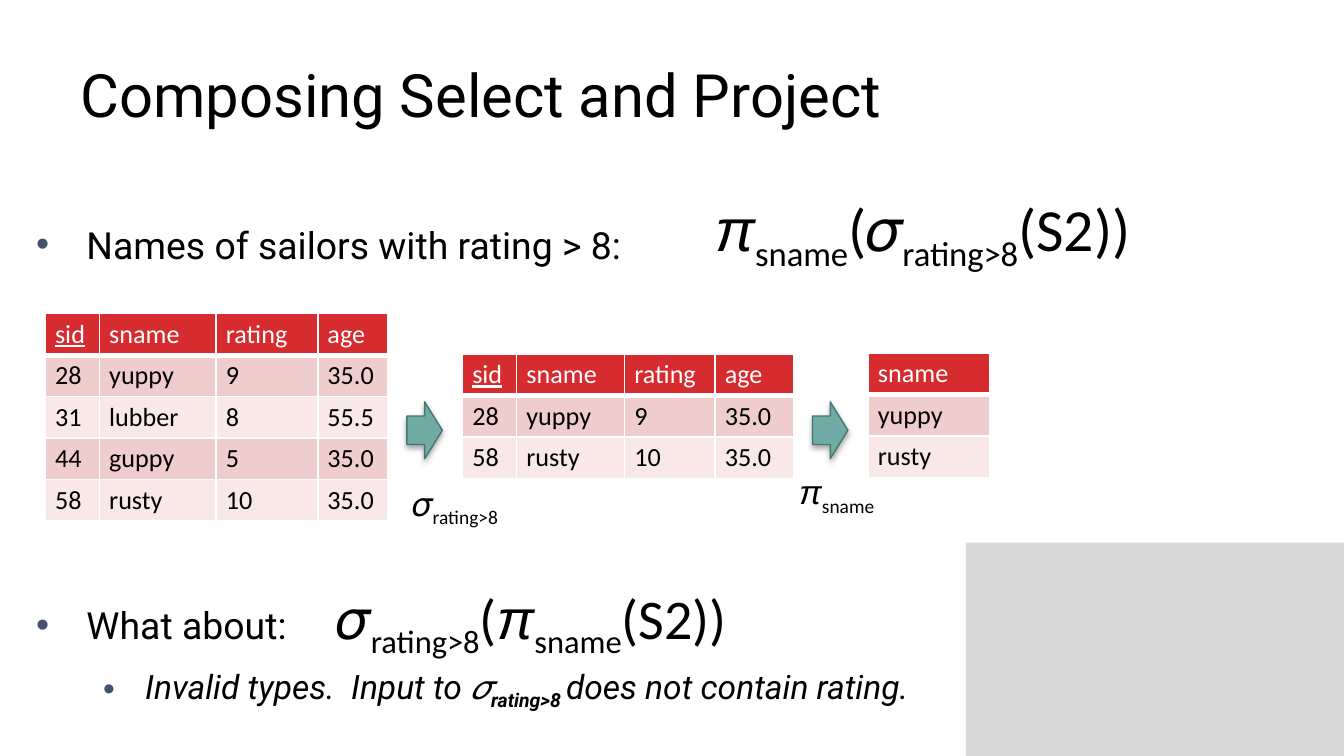
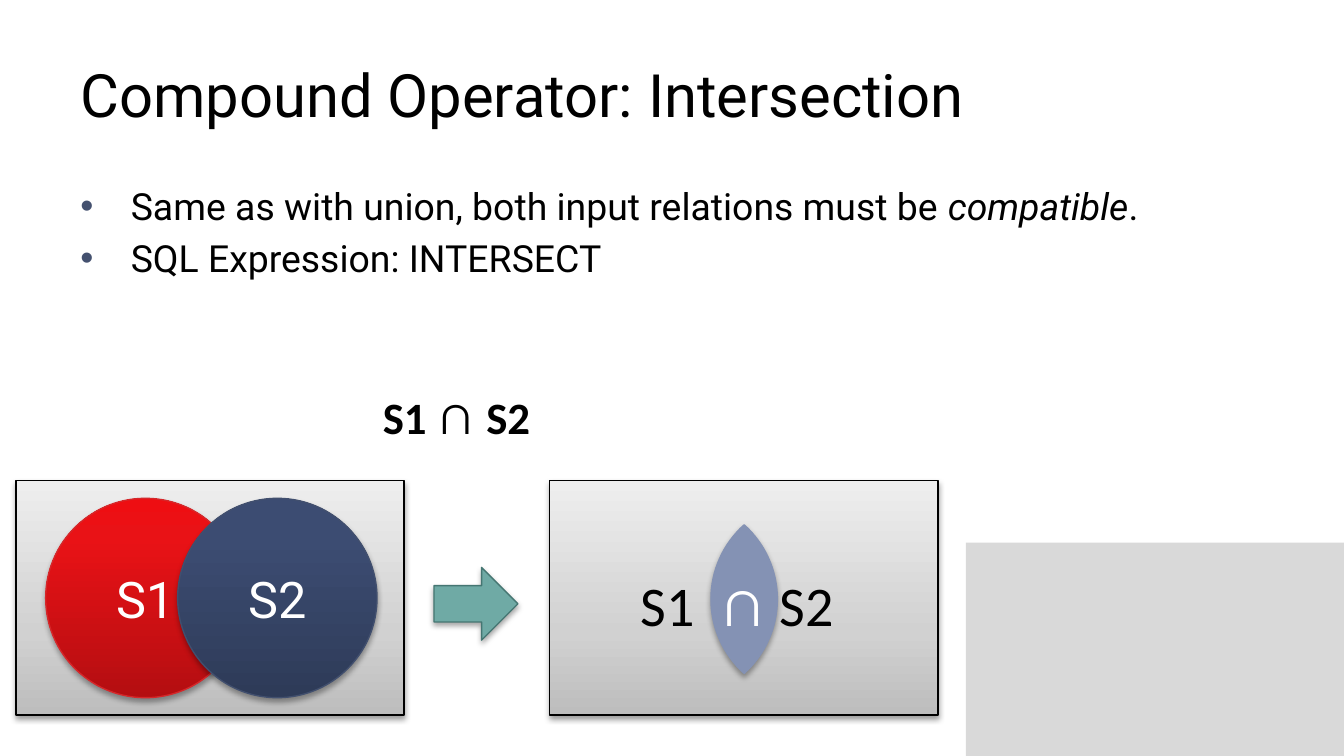
from copy import deepcopy
from dataclasses import dataclass
from math import asin, cos, sin, sqrt

from lxml.etree import SubElement
from pptx import Presentation
from pptx.dml.color import RGBColor
from pptx.enum.shapes import MSO_SHAPE
from pptx.enum.text import MSO_ANCHOR, MSO_AUTO_SIZE, PP_ALIGN
from pptx.oxml.ns import qn
from pptx.util import Pt

BLACK = RGBColor(0, 0, 0)
WHITE = RGBColor(255, 255, 255)
CORNER_GREY = RGBColor(0xD9, 0xD9, 0xD9)
BULLET = RGBColor(0x44, 0x51, 0x6F)
HEADER_RED = RGBColor(0xD7, 0x2C, 0x2F)
ROW_TINTS = (RGBColor(0xF0, 0xCD, 0xCD), RGBColor(0xF8, 0xE8, 0xE8))
TEAL = RGBColor(0x6F, 0xAA, 0xA5)
TEAL_EDGE = RGBColor(0x45, 0x76, 0x72)
LENS_BLUE = RGBColor(0x84, 0x92, 0xB4)
RED_EDGE = RGBColor(0xD6, 0x27, 0x2A)
NAVY_EDGE = RGBColor(0x41, 0x4F, 0x6E)
GREY_STOPS = ((0, RGBColor(0xBD, 0xBD, 0xBD)), (0.35, RGBColor(0xD1, 0xD1, 0xD1)),
              (1, RGBColor(0xEE, 0xEE, 0xEE)))
RED_STOPS = ((0, RGBColor(0xB4, 0x0E, 0x11)), (0.8, RGBColor(0xE9, 0x12, 0x16)),
             (1, RGBColor(0xEE, 0x0E, 0x12)))
NAVY_STOPS = ((0, RGBColor(0x2E, 0x3B, 0x58)), (0.8, RGBColor(0x3C, 0x4C, 0x72)),
              (1, RGBColor(0x3B, 0x4C, 0x73)))

ROBOTO, CALIBRI, ARIAL = "Roboto", "Calibri", "Arial"
ROW_H = 22.2


@dataclass(frozen=True)
class Run:
    text: str
    size: float
    font: str = CALIBRI
    color: RGBColor = BLACK
    bold: bool = False
    italic: bool = False
    underline: bool = False
    sub: bool = False
    spacing: float = 0


@dataclass(frozen=True)
class Bullet:
    runs: tuple
    before: float = 0
    level: int = 0


@dataclass(frozen=True)
class Relation:
    left: float
    top: float
    widths: tuple
    rows: tuple


@dataclass(frozen=True)
class Formula:
    left: float
    top: float
    width: float
    height: float
    runs: tuple
    align: PP_ALIGN = PP_ALIGN.LEFT


@dataclass(frozen=True)
class Circle:
    left: float
    label: str
    stops: tuple
    edge: RGBColor


def add_run(p, run: Run) -> None:
    r = p.add_run()
    r.text = run.text
    f = r.font
    f.name, f.size, f.bold, f.italic = run.font, Pt(run.size), run.bold, run.italic
    f.underline = run.underline
    f.color.rgb = run.color
    if run.sub:
        r._r.get_or_add_rPr().set("baseline", "-25000")
    if run.spacing:
        r._r.get_or_add_rPr().set("spc", str(round(run.spacing * 100)))


def add_title(slide, text: str) -> None:
    tf = slide.shapes.add_textbox(Pt(36), Pt(16.5), Pt(648), Pt(67.5)).text_frame
    tf.word_wrap = True
    tf.vertical_anchor = MSO_ANCHOR.MIDDLE
    add_run(tf.paragraphs[0], Run(text, 32, ROBOTO))


def new_slide(prs, title: str):
    slide = prs.slides.add_slide(prs.slide_layouts[6])
    sp = slide.shapes.add_shape(MSO_SHAPE.RECTANGLE, Pt(517.5), Pt(290.7), Pt(202.5), Pt(114.3))
    sp.shadow.inherit = False
    sp.fill.solid()
    sp.fill.fore_color.rgb = CORNER_GREY
    sp.line.fill.background()
    add_title(slide, title)
    return slide


def add_bullets(slide, left: float, top: float, bullets: tuple) -> None:
    tf = slide.shapes.add_textbox(Pt(left), Pt(top), Pt(648), Pt(267)).text_frame
    tf.word_wrap = True
    for i, bullet in enumerate(bullets):
        p = tf.add_paragraph() if i else tf.paragraphs[0]
        margin, hang = ((27, 27), (58.5, 22.5))[bullet.level]
        pPr = p._p.get_or_add_pPr()
        pPr.set("marL", str(Pt(margin)))
        pPr.set("indent", str(-Pt(hang)))
        color = SubElement(pPr, qn("a:buClr"))
        SubElement(color, qn("a:srgbClr"), val=str(BULLET))
        SubElement(pPr, qn("a:buFont"), typeface=ARIAL)
        SubElement(pPr, qn("a:buChar"), char="•")
        p.level = bullet.level
        p.space_before = Pt(bullet.before)
        for run in bullet.runs:
            add_run(p, run)


def add_formula(slide, formula: Formula) -> None:
    tf = slide.shapes.add_textbox(Pt(formula.left), Pt(formula.top),
                                  Pt(formula.width), Pt(formula.height)).text_frame
    tf.word_wrap = False
    tf.auto_size = MSO_AUTO_SIZE.SHAPE_TO_FIT_TEXT
    p = tf.paragraphs[0]
    p.alignment = formula.align
    for run in formula.runs:
        add_run(p, run)


def set_borders(cell, bottom: float) -> None:
    tcPr = cell._tc.get_or_add_tcPr()
    for i, (side, width) in enumerate((("L", 1), ("R", 1), ("T", 1), ("B", bottom))):
        ln = tcPr.makeelement(qn(f"a:ln{side}"), {"w": str(Pt(width))})
        SubElement(SubElement(ln, qn("a:solidFill")), qn("a:srgbClr"), val=str(WHITE))
        tcPr.insert(i, ln)


def add_relation(slide, relation: Relation) -> None:
    """Draw a table whose first row is the header; the key column sid is underlined."""
    rows, widths = relation.rows, relation.widths
    table = slide.shapes.add_table(len(rows), len(widths), Pt(relation.left), Pt(relation.top),
                                   Pt(sum(widths)), Pt(ROW_H * len(rows))).table
    for column, width in zip(table.columns, widths):
        column.width = Pt(width)
    for i, row in enumerate(rows):
        table.rows[i].height = Pt(ROW_H)
        for j, text in enumerate(row):
            cell = table.cell(i, j)
            cell.margin_left = cell.margin_right = Pt(5.2)
            cell.margin_top = cell.margin_bottom = Pt(2.6)
            cell.fill.solid()
            cell.fill.fore_color.rgb = ROW_TINTS[(i - 1) % 2] if i else HEADER_RED
            set_borders(cell, 1 if i else 3)
            add_run(cell.text_frame.paragraphs[0],
                    Run(text, 14, color=BLACK if i else WHITE, underline=text == "sid"))


def finish(sp, color: RGBColor | None, edge: RGBColor, stops: tuple = (),
           opacity: int = 35, distance: float = 1.8) -> None:
    """Give a shape its flat or upward gradient fill, thin edge and drop shadow."""
    if stops:
        sp.fill.gradient()
        sp.fill.gradient_angle = 90
        gs_list = sp._element.spPr.find(".//" + qn("a:gsLst"))
        gs_list.append(deepcopy(gs_list[0]))
        for stop, (position, stop_color) in zip(sp.fill.gradient_stops, stops):
            stop.position = position
            stop.color.rgb = stop_color
    else:
        sp.fill.solid()
        sp.fill.fore_color.rgb = color
    sp.line.color.rgb = edge
    sp.line.width = Pt(0.75)
    sp.shadow.inherit = False
    shadow = SubElement(sp._element.spPr.find(qn("a:effectLst")), qn("a:outerShdw"),
                        blurRad=str(Pt(3.1)), dist=str(Pt(distance)), dir="5400000",
                        rotWithShape="0")
    rgb = SubElement(shadow, qn("a:srgbClr"), val=str(BLACK))
    SubElement(rgb, qn("a:alpha"), val=str(opacity * 1000))


def add_arrow(slide, left: float, top: float, width: float, height: float) -> None:
    sp = slide.shapes.add_shape(MSO_SHAPE.RIGHT_ARROW, Pt(left), Pt(top), Pt(width), Pt(height))
    finish(sp, TEAL, TEAL_EDGE)


def add_panel(slide, left: float) -> None:
    sp = slide.shapes.add_shape(MSO_SHAPE.RECTANGLE, Pt(left), Pt(257.5), Pt(208), Pt(125.5))
    finish(sp, None, BLACK, GREY_STOPS, 38, 1.6)


def add_circle(slide, circle: Circle) -> None:
    sp = slide.shapes.add_shape(MSO_SHAPE.OVAL, Pt(circle.left), Pt(267), Pt(106.8), Pt(106.8))
    finish(sp, None, circle.edge, circle.stops)
    tf = sp.text_frame
    tf.margin_left = tf.margin_right = Pt(5.2)
    tf.margin_top = tf.margin_bottom = Pt(2.6)
    tf.vertical_anchor = MSO_ANCHOR.MIDDLE
    p = tf.paragraphs[0]
    p.alignment = PP_ALIGN.CENTER
    add_run(p, Run(circle.label, 27, ROBOTO, WHITE))


def add_lens(slide, x: float, y: float, radius: float, half_height: float, steps: int = 32) -> None:
    """Draw the overlap of two equal circles, centred on (x, y)."""
    offset = sqrt(radius ** 2 - half_height ** 2)
    reach = asin(half_height / radius)
    angles = [reach * (2 * i / steps - 1) for i in range(steps + 1)]
    points = [(Pt(x + side * (radius * cos(a) - offset)), Pt(y + side * radius * sin(a)))
              for side in (1, -1) for a in angles]
    builder = slide.shapes.build_freeform(*points[0])
    builder.add_line_segments(points[1:], close=True)
    finish(builder.convert_to_shape(), LENS_BLUE, LENS_BLUE)


def sigma(size: float) -> tuple:
    return Run("𝜎", size, ARIAL), Run("rating>8", size, sub=True)


def pi(size: float) -> tuple:
    return Run("π", size, ARIAL, italic=True), Run("sname", size, sub=True)


def composed(outer, inner, size: float) -> tuple:
    return (*outer(size), Run("(", size), *inner(size), Run("(S2)) ", size))


def build_composing(prs) -> None:
    slide = new_slide(prs, "Composing Select and Project")
    add_bullets(slide, 12.25, 115.2, (
        Bullet((Run("Names of sailors with rating > 8:", 20, ROBOTO),)),
        Bullet((Run("What about:", 20, ROBOTO),), 180),
        Bullet((Run("Invalid types.  Input to ", 18, ROBOTO, italic=True),
                Run("𝜎", 18, ARIAL, bold=True, italic=True),
                Run("rating>8 ", 18, ROBOTO, bold=True, italic=True, sub=True),
                Run("does not contain rating.", 18, ROBOTO, italic=True)), 10, 1),
    ))
    header = ("sid", "sname", "rating", "age")
    yuppy, rusty = ("28", "yuppy", "9", "35.0"), ("58", "rusty", "10", "35.0")
    sailors = (header, yuppy, ("31", "lubber", "8", "55.5"), ("44", "guppy", "5", "35.0"), rusty)
    selected = (header, yuppy, rusty)
    names = tuple((row[1],) for row in selected)
    for relation in (Relation(24.3, 168, (29, 62.5, 54.5, 37.5), sailors),
                     Relation(247.8, 189.7, (29, 57.8, 48.5, 42), selected),
                     Relation(465.1, 189.2, (65.2,), names)):
        add_relation(slide, relation)
    for left in (218, 435.3):
        add_arrow(slide, left, 215.3, 19, 30.5)
    for formula in (Formula(421.2, 249, 57, 29, pi(18)),
                    Formula(213.8, 255, 65.5, 29, sigma(18)),
                    Formula(166.3, 309, 244, 44, composed(sigma, pi, 30), PP_ALIGN.CENTER),
                    Formula(368, 99.4, 260, 46, composed(pi, sigma, 32), PP_ALIGN.CENTER)):
        add_formula(slide, formula)


def build_intersection(prs) -> None:
    slide = new_slide(prs, "Compound Operator: Intersection")
    add_bullets(slide, 36, 94.5, (
        Bullet((Run("Same as with union, both input relations must be ", 20, ROBOTO),
                Run("compatible", 20, ROBOTO, italic=True), Run(".", 20, ROBOTO))),
        Bullet((Run("SQL Expression: INTERSECT", 20, ROBOTO),), 4),
    ))
    for left in (8.5, 294.5):
        add_panel(slide, left)
    for circle in (Circle(24.5, "S1", RED_STOPS, RED_EDGE),
                   Circle(95.2, "S2", NAVY_STOPS, NAVY_EDGE)):
        add_circle(slide, circle)
    add_arrow(slide, 232.5, 304, 45, 39)
    add_formula(slide, Formula(198, 199.4, 94.3, 44, (
        Run("S1 ", 24, bold=True), Run("∩", 30), Run(" ", 24), Run("S2", 24, bold=True))))
    add_lens(slide, 398.7, 321, 53.4, 39.8)
    add_formula(slide, Formula(336, 296, 119, 51, (
        Run("S1", 30), Run(" ", 30, spacing=6.8), Run("∩", 36, color=WHITE), Run(" S2", 30))))


def main() -> None:
    prs = Presentation()
    prs.slide_width, prs.slide_height = Pt(720), Pt(405)
    build_composing(prs)
    build_intersection(prs)
    prs.save("out.pptx")


if __name__ == "__main__":
    main()
